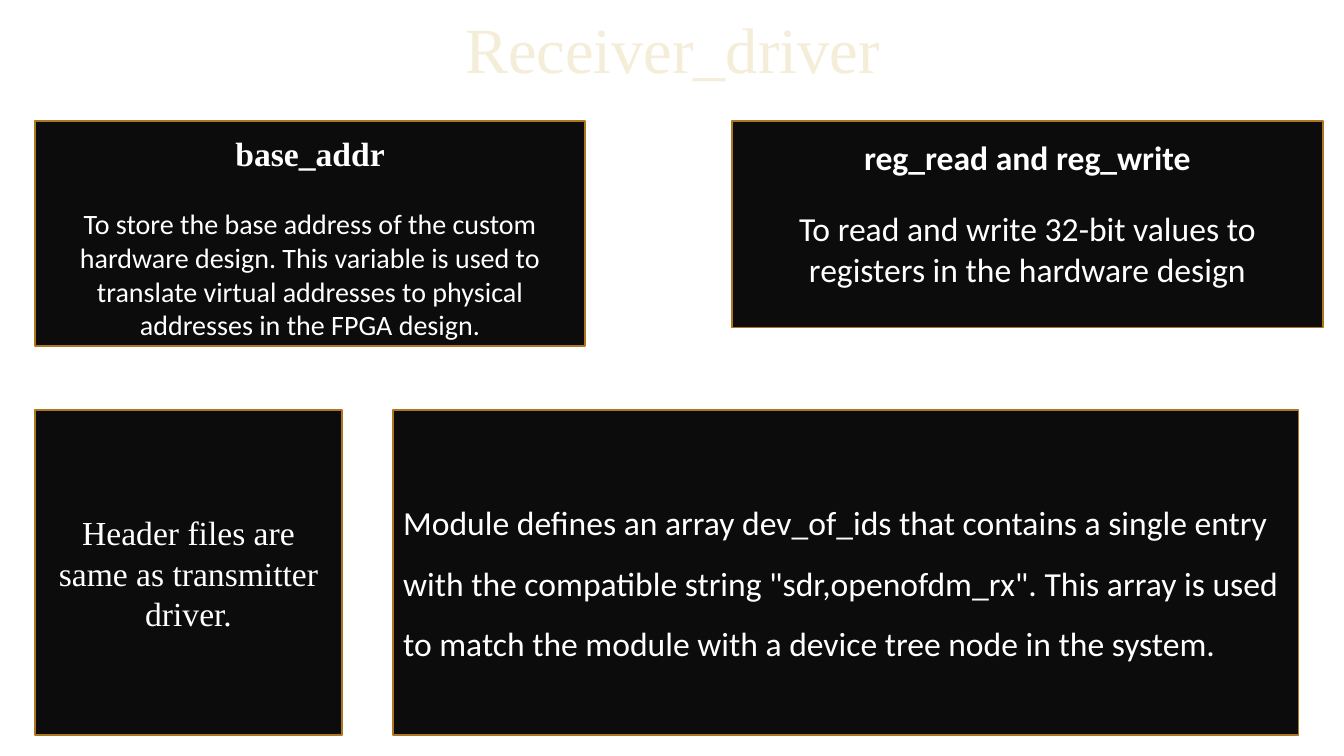
from lxml import etree
from pptx import Presentation
from pptx.dml.color import RGBColor
from pptx.enum.shapes import MSO_SHAPE as Shape
from pptx.enum.text import MSO_ANCHOR as Anchor, PP_ALIGN as Align
from pptx.oxml.ns import qn
from pptx.util import Inches, Pt

SERIF = "Times New Roman"
SANS = "Calibri"
LEFT = 0.35
UPPER_TOP = 1.2
LOWER_TOP = 4.07
LOWER_HEIGHT = 3.22


def color(value):
    return RGBColor.from_string(value)


def format_para(para, font, size, shade="FFFFFF", bold=False, align=Align.CENTER):
    para.alignment = align
    for span in para.runs:
        span.font.name = font
        span.font.size = Pt(size)
        span.font.bold = bold
        span.font.color.rgb = color(shade)


def add_text_shadow(span):
    fill = span.font._element.find(qn("a:solidFill"))
    effects = etree.Element(qn("a:effectLst"))
    shadow = etree.SubElement(effects, qn("a:outerShdw"), blurRad="38100",
                              dist="38100", dir="2700000", algn="tl")
    shade = etree.SubElement(shadow, qn("a:srgbClr"), val="000000")
    etree.SubElement(shade, qn("a:alpha"), val="43000")
    fill.addnext(effects)


def add_title(page, left, top, width, height):
    title = page.shapes.title
    title.left, title.top = Inches(left), Inches(top)
    title.width, title.height = Inches(width), Inches(height)
    title.text_frame.text = "Receiver_driver"
    title.text_frame.vertical_anchor = Anchor.MIDDLE
    para = title.text_frame.paragraphs[0]
    para.line_spacing = 0.9
    format_para(para, SERIF, 46, "F4EDD8")
    add_text_shadow(para.runs[0])


def add_panel(page, left, top, width, height):
    box = page.shapes.add_shape(Shape.RECTANGLE, Inches(left), Inches(top),
                                Inches(width), Inches(height))
    box.shadow.inherit = False
    box.fill.solid()
    box.fill.fore_color.rgb = color("0C0C0C")
    box.line.color.rgb = color("AF7621")
    box.line.width = Pt(1.25)
    box.text_frame.word_wrap = True
    box.text_frame.vertical_anchor = Anchor.MIDDLE
    return box.text_frame


def add_headed_panel(page, area, heading, heading_font, body, body_size, inset, gap):
    frame = add_panel(page, *area)
    frame.vertical_anchor = Anchor.TOP
    frame.margin_top = Inches(inset)
    frame.text = heading
    format_para(frame.paragraphs[0], heading_font, 24, bold=True)
    para = frame.add_paragraph()
    para.text = body
    para.space_before = Pt(gap)
    format_para(para, SANS, body_size)


def add_statement_panel(page, area, statement, font, align, spacing):
    frame = add_panel(page, *area)
    frame.text = statement
    para = frame.paragraphs[0]
    para.line_spacing = spacing
    format_para(para, font, 24, align=align)


def main():
    deck = Presentation()
    deck.slide_width, deck.slide_height = Inches(13.33), Inches(7.5)
    page = deck.slides.add_slide(deck.slide_layouts[5])
    add_title(page, 1.01, -0.17, 11.32, 1.38)
    add_headed_panel(
        page, (LEFT, UPPER_TOP, 5.45, 2.23), "base_addr", SERIF,
        "To store the base address of the custom hardware design. This variable "
        "is used to translate virtual addresses to physical addresses in the "
        "FPGA design.", 20, 0.12, 24)
    add_headed_panel(
        page, (7.26, UPPER_TOP, 5.86, 2.05), "reg_read and reg_write", SANS,
        "To read and write 32-bit values to registers in the hardware design",
        24, 0.16, 22)
    add_statement_panel(
        page, (3.9, LOWER_TOP, 8.98, LOWER_HEIGHT),
        "Module defines an array dev_of_ids that contains a single entry with "
        'the compatible string "sdr,openofdm_rx". This array is used to match '
        "the module with a device tree node in the system.",
        SANS, Align.LEFT, 1.5)
    add_statement_panel(
        page, (LEFT, LOWER_TOP, 3.04, LOWER_HEIGHT),
        "Header files are same as transmitter driver.", SERIF, Align.CENTER, 1.0)
    deck.save("out.pptx")


if __name__ == "__main__":
    main()
